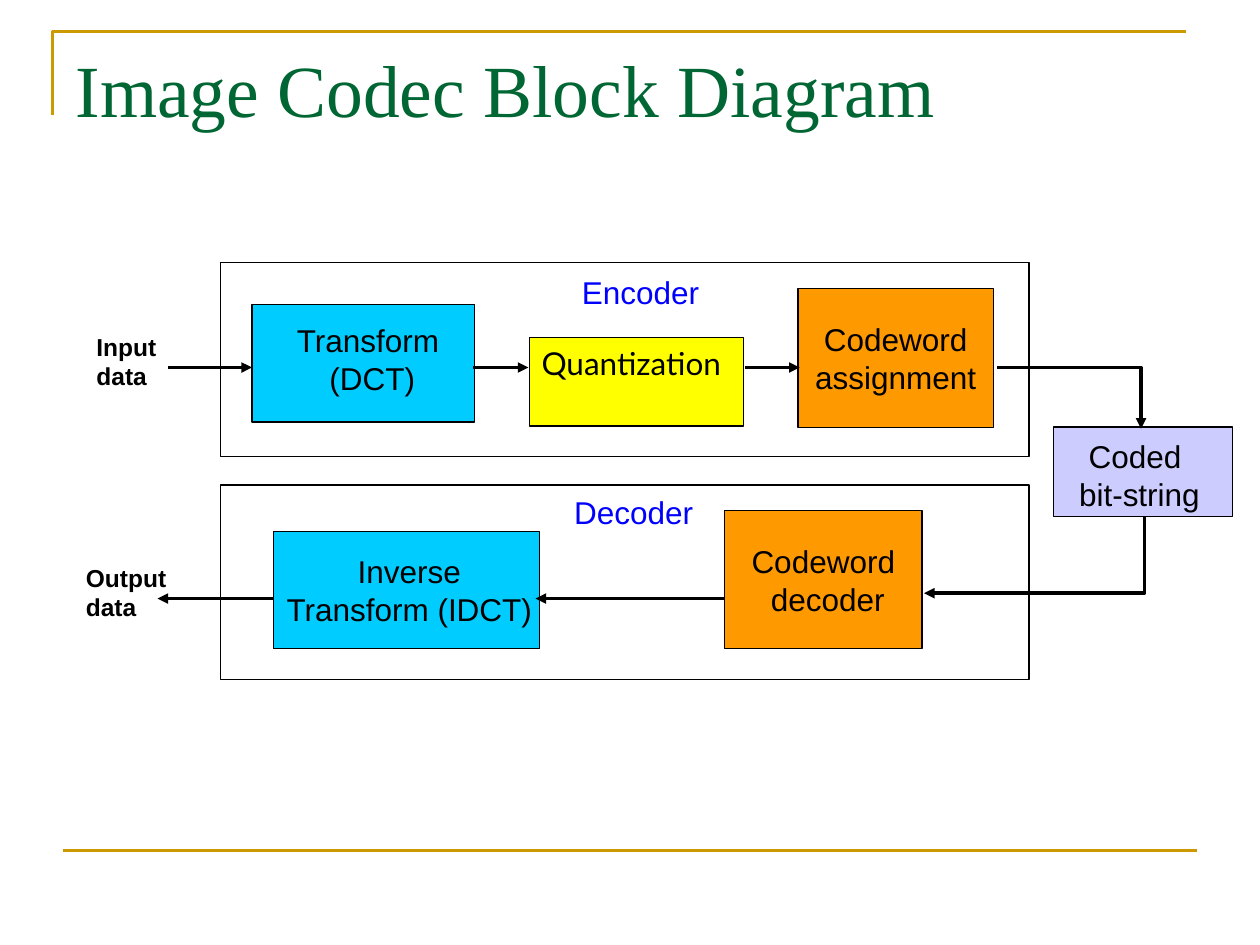
"""Build the image codec block diagram slide."""
from dataclasses import dataclass

from lxml import etree
from pptx import Presentation
from pptx.dml.color import RGBColor
from pptx.enum.shapes import MSO_CONNECTOR, MSO_SHAPE
from pptx.enum.text import MSO_ANCHOR, MSO_AUTO_SIZE, PP_ALIGN
from pptx.oxml.ns import qn
from pptx.util import Pt

RECTANGLE = MSO_SHAPE.RECTANGLE
STRAIGHT = MSO_CONNECTOR.STRAIGHT
TOP, MIDDLE = MSO_ANCHOR.TOP, MSO_ANCHOR.MIDDLE
LEFT, CENTER = PP_ALIGN.LEFT, PP_ALIGN.CENTER
NO_AUTOFIT = MSO_AUTO_SIZE.NONE

COLORS = {
    "rule": "CC9900", "title": "006633", "ink": "000000", "stage": "0000FF",
    "transform": "00CCFF", "quantization": "FFFF00",
    "codeword": "FF9900", "bits": "CCCCFF",
}
FRAME_LEFT, FRAME_WIDTH, FRAME_HEIGHT = 126, 462, 111
ENCODER_Y, DECODER_Y = 210, 342

Point = tuple[float, float]


@dataclass
class Block:
    left: float
    top: float
    width: float
    height: float
    fill: str | None = None
    text: str = ""
    font: str = "Arial"
    align: PP_ALIGN = CENTER
    anchor: MSO_ANCHOR = MIDDLE
    wrap: bool = False


@dataclass
class Label:
    left: float
    top: float
    width: float
    height: float
    text: str
    color: str = "ink"
    size: float = 18
    bold: bool = False
    align: PP_ALIGN = LEFT
    wrap: bool = False


BLOCKS = [
    Block(FRAME_LEFT, 150, FRAME_WIDTH, FRAME_HEIGHT),
    Block(456, 165, 111.6, 79.2, "codeword", "Codeword\nassignment"),
    Block(302.4, 193, 122.4, 50.4, "quantization", "Quantization", "Lato", LEFT, TOP, True),
    Block(144, 174.2, 127.4, 67, "transform"),
    Block(FRAME_LEFT, 277.2, FRAME_WIDTH, FRAME_HEIGHT),
    Block(414, 291.6, 113, 79.2, "codeword", "Codeword\n decoder"),
    Block(156.2, 303.8, 152, 67, "transform"),
    Block(602, 244, 102.2, 51, "bits"),
]

LABELS = [
    Label(162, 180, 101.5, 50.4, "Transform \n(DCT)", align=CENTER),
    Label(325.4, 152.6, 81.4, 28.8, "Encoder", "stage"),
    Label(156.2, 311.8, 155.5, 50.4, "Inverse\nTransform (IDCT)", align=CENTER),
    Label(321, 278, 82, 28.8, "Decoder", "stage"),
    Label(600, 246.2, 102.2, 50.4, "Coded \nbit-string", align=CENTER, wrap=True),
    Label(48, 186, 60, 41, "Input data", size=14, bold=True, wrap=True),
    Label(42, 318, 66, 41, "Output data", size=14, bold=True, wrap=True),
]

ARROWS = [
    ((96, ENCODER_Y), (144, ENCODER_Y)),
    ((270, ENCODER_Y), (302, ENCODER_Y)),
    ((426, ENCODER_Y), (457, ENCODER_Y)),
    ((414, DECODER_Y), (306, DECODER_Y)),
    ((156, DECODER_Y), (90, DECODER_Y)),
]

BENT_ARROWS = [
    [(570, ENCODER_Y), (652.5, ENCODER_Y), (652.5, 245.3)],
    [(654.5, 295.2), (654.5, 339), (528, 339)],
]


def rgb(name: str) -> RGBColor:
    return RGBColor.from_string(COLORS[name])


def write(shape, text: str, *, font: str = "Arial", size: float = 18, color: str = "ink",
          bold: bool = False, align: PP_ALIGN = LEFT, anchor: MSO_ANCHOR = TOP,
          wrap: bool = True) -> None:
    frame = shape.text_frame
    frame.text = text
    frame.word_wrap = wrap
    frame.auto_size = NO_AUTOFIT
    frame.vertical_anchor = anchor
    for paragraph in frame.paragraphs:
        paragraph.alignment = align
        paragraph.font.name = font
        paragraph.font.size = Pt(size)
        paragraph.font.bold = bold
        paragraph.font.color.rgb = rgb(color)


def style_line(shape, color: str, width: float, arrow: bool = False) -> None:
    shape.line.color.rgb = rgb(color)
    shape.line.width = Pt(width)
    if arrow:
        outline = shape.element.spPr.find(qn("a:ln"))
        etree.SubElement(outline, qn("a:tailEnd"), type="triangle")


def draw_line(slide, start: Point, end: Point, color: str, width: float,
              arrow: bool = False) -> None:
    connector = slide.shapes.add_connector(
        STRAIGHT, *(Pt(value) for value in (*start, *end)))
    style_line(connector, color, width, arrow)
    etree.SubElement(connector.element.spPr, qn("a:effectLst"))


def draw_bent_line(slide, points: list[Point], color: str, width: float,
                   arrow: bool = False) -> None:
    builder = slide.shapes.build_freeform(*points[0], scale=Pt(1))
    builder.add_line_segments(points[1:], close=False)
    bend = builder.convert_to_shape()
    bend.fill.background()
    bend.shadow.inherit = False
    style_line(bend, color, width, arrow)


def draw_block(slide, block: Block) -> None:
    rectangle = slide.shapes.add_shape(
        RECTANGLE, Pt(block.left), Pt(block.top), Pt(block.width), Pt(block.height))
    rectangle.shadow.inherit = False
    style_line(rectangle, "ink", 0.75)
    if block.fill:
        rectangle.fill.solid()
        rectangle.fill.fore_color.rgb = rgb(block.fill)
    else:
        rectangle.fill.background()
    if block.text:
        write(rectangle, block.text, font=block.font, align=block.align,
              anchor=block.anchor, wrap=block.wrap)


def draw_label(slide, label: Label) -> None:
    box = slide.shapes.add_textbox(
        Pt(label.left), Pt(label.top), Pt(label.width), Pt(label.height))
    write(box, label.text, size=label.size, color=label.color, bold=label.bold,
          align=label.align, wrap=label.wrap)


def main() -> None:
    deck = Presentation()
    deck.slide_width, deck.slide_height = Pt(720), Pt(540)
    slide = deck.slides.add_slide(deck.slide_layouts.get_by_name("Title Only"))

    draw_bent_line(slide, [(30, 66), (30, 18), (678, 18)], "rule", 1.5)
    draw_line(slide, (36, 486), (684, 486), "rule", 1.5)

    title = slide.shapes.title
    title.left, title.top, title.width, title.height = Pt(36), Pt(21.6), Pt(648), Pt(90)
    write(title, "Image Codec Block Diagram", font="Times New Roman", size=42, color="title")

    for block in BLOCKS:
        draw_block(slide, block)
    for start, end in ARROWS:
        draw_line(slide, start, end, "ink", 2, arrow=True)
    for points in BENT_ARROWS:
        draw_bent_line(slide, points, "ink", 2, arrow=True)
    for label in LABELS:
        draw_label(slide, label)

    deck.save("out.pptx")


if __name__ == "__main__":
    main()
